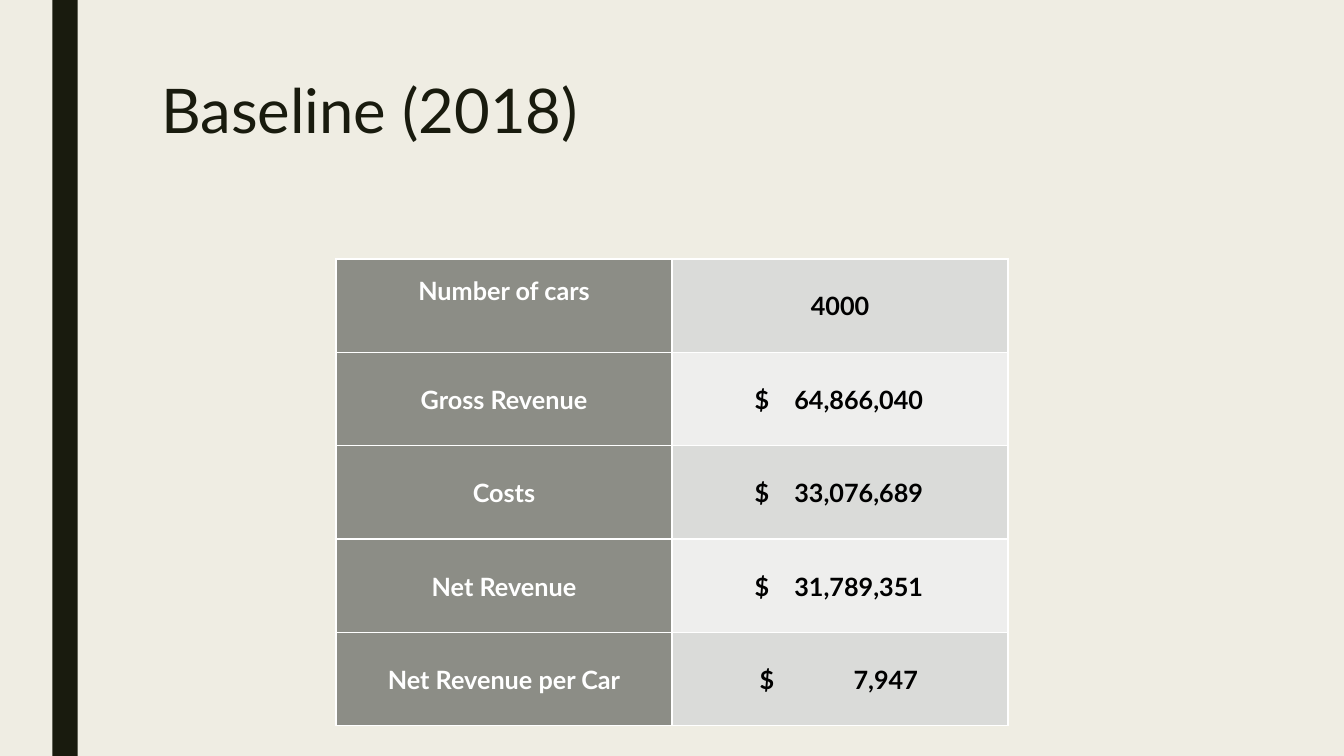
from lxml import etree
from pptx import Presentation, util as u
from pptx.dml.color import RGBColor
from pptx.enum import shapes, text
from pptx.oxml import ns

WIDTH, HEIGHT = u.Inches(13.33), u.Inches(7.5)
FONT, DARK, WHITE = "Lato", "191B0E", "FFFFFF"
HEADER, BANDS = "8C8D86", ("DADBD9", "EEEEED")


def paint(target, color):
    """Give a fill or a font a solid colour."""
    if hasattr(target, "solid"):
        target.solid()
        target.fore_color.rgb = RGBColor.from_string(color)
    else:
        target.color.rgb = RGBColor.from_string(color)


def add_borders(cell):
    properties = cell._tc.get_or_add_tcPr()
    for side in ("lnL", "lnR", "lnT", "lnB"):
        line = etree.SubElement(properties, ns.qn(f"a:{side}"), w=str(u.Pt(1)))
        solid = etree.SubElement(line, ns.qn("a:solidFill"))
        etree.SubElement(solid, ns.qn("a:srgbClr"), val=WHITE)


deck = Presentation()
deck.slide_width, deck.slide_height = WIDTH, HEIGHT
page = deck.slides.add_slide(deck.slide_layouts[6])
paint(page.background.fill, "EFEDE3")

# Side bar
bar = page.shapes.add_shape(
    shapes.MSO_SHAPE.RECTANGLE, u.Inches(0.52), 0, u.Inches(0.25), HEIGHT)
bar.shadow.inherit = False
paint(bar.fill, DARK)
bar.line.fill.background()

# Title
title = page.shapes.add_textbox(
    u.Inches(1.5), HEIGHT // 10, u.Inches(10.5), u.Inches(1.62))
title.text_frame.word_wrap = True
title.text_frame.text = "Baseline (2018)"
para = title.text_frame.paragraphs[0]
para.line_spacing = 0.89
span = para.runs[0]
span.font.name, span.font.size = FONT, u.Pt(44)
paint(span.font, DARK)

# Table: label, amount, and for dollars the left inset and right tab in inches
figures = [
    ("Number of cars", "4000", None),
    ("Gross Revenue", "$\t64,866,040", (0.82, 1.67)),
    ("Costs", "$\t33,076,689", (0.82, 1.67)),
    ("Net Revenue", "$\t31,789,351", (0.82, 1.67)),
    ("Net Revenue per Car", "$\t7,947", (0.87, 1.57)),
]
table = page.shapes.add_table(
    len(figures), 2, WIDTH // 4, u.Inches(2.57), WIDTH // 2, u.Inches(4.63)).table

for row, (label, amount, dollar_layout) in enumerate(figures):
    for column, words in enumerate((label, amount)):
        cell = table.cell(row, column)
        add_borders(cell)
        paint(cell.fill, BANDS[row % 2] if column else HEADER)
        cell.vertical_anchor = text.MSO_ANCHOR.MIDDLE
        if row:
            cell.margin_left = cell.margin_right = cell.margin_top = u.Inches(0.01)
            cell.margin_bottom = 0
        cell.text_frame.text = words
        para = cell.text_frame.paragraphs[0]
        para.alignment = text.PP_ALIGN.CENTER
        # Dollar sign at the left, digits at a right tab
        if column and dollar_layout:
            inset, stop = dollar_layout
            cell.margin_left = u.Inches(inset)
            para.alignment = text.PP_ALIGN.LEFT
            tabs = etree.SubElement(para._p.get_or_add_pPr(), ns.qn("a:tabLst"))
            etree.SubElement(tabs, ns.qn("a:tab"), pos=str(u.Inches(stop)), algn="r")
        for span in para.runs:
            span.font.name, span.font.size, span.font.bold = FONT, u.Pt(18), True
            paint(span.font, "000000" if column else WHITE)

# The first label sits one line's half above the middle
table.cell(0, 0).margin_bottom = u.Inches(0.35)

deck.save("out.pptx")
